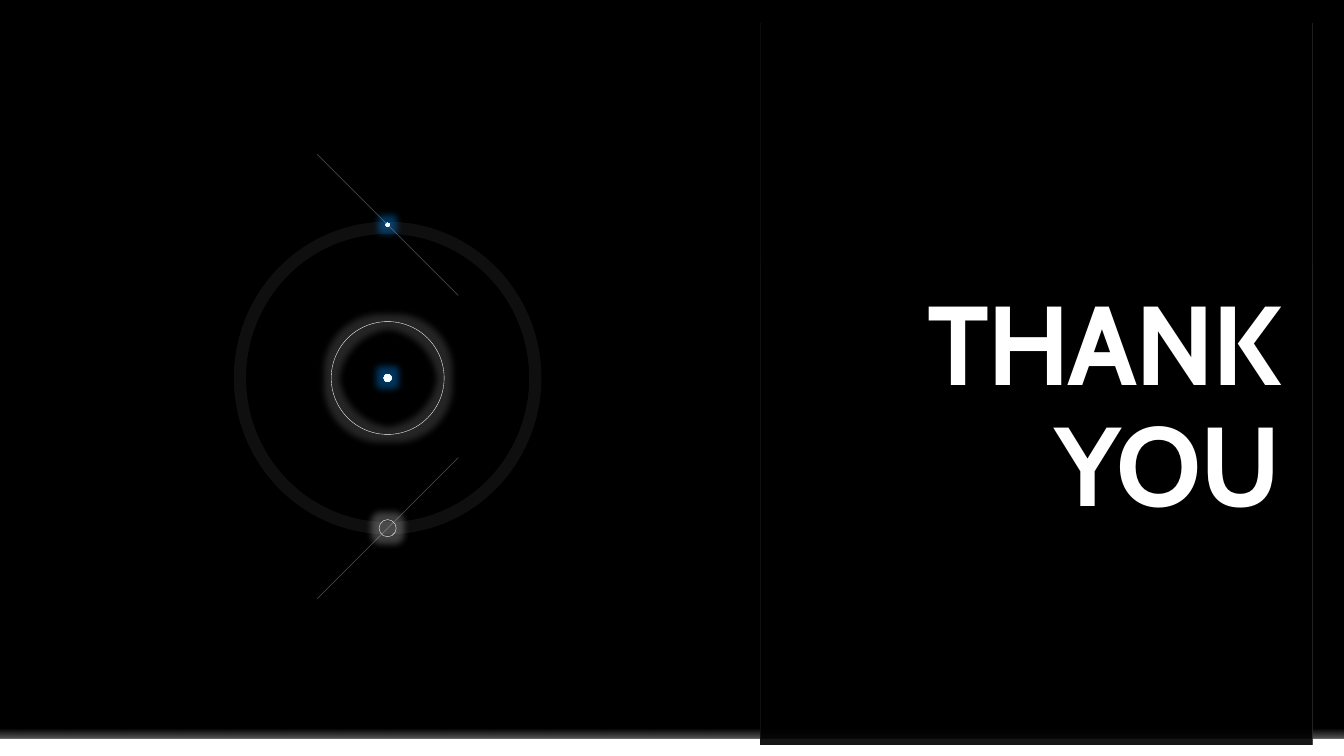
from lxml.etree import SubElement
from pptx import Presentation
from pptx.dml.color import RGBColor
from pptx.enum.shapes import MSO_CONNECTOR, MSO_SHAPE
from pptx.enum.text import MSO_ANCHOR, PP_ALIGN
from pptx.oxml import parse_xml
from pptx.oxml.ns import nsdecls, qn
from pptx.util import Inches, Pt

W, H = 13.33, 7.5
C = {"black": "000000", "white": "FFFFFF", "edge": "F2F2F2", "ray": "E7E6E6",
     "ice": "F7FFFF", "sky": "C1E4FF", "blue": "0088EE"}
CORE = [(0, "white", 100), (65, "ice", 100), (70, "sky", 100)]
CORE_PATH = ('<a:path path="circle"><a:fillToRect l="50000" t="50000" '
             'r="50000" b="50000"/></a:path>')
FADE = [(40, "white", 0), (100, "white", 35)]
FADE_DOWN = '<a:lin ang="5400000" scaled="0"/>'


def set_color(fill, color, alpha):
    """Make a fill solid with the given opacity in percent."""
    fill.solid()
    fill.fore_color.rgb = RGBColor.from_string(C[color])
    if alpha < 100:
        clr = fill._xPr.find(".//" + qn("a:srgbClr"))
        SubElement(clr, qn("a:alpha")).set("val", str(alpha * 1000))


def set_gradient(sp, stops, direction):
    """Fill a shape with a gradient of (position, colour, opacity) stops."""
    sp.fill.gradient()
    old = sp._element.spPr.find(qn("a:gradFill"))
    gs = "".join(f'<a:gs pos="{pos * 1000}"><a:srgbClr val="{C[color]}">'
                 f'<a:alpha val="{alpha * 1000}"/></a:srgbClr></a:gs>'
                 for pos, color, alpha in stops)
    sp._element.spPr.replace(old, parse_xml(
        f'<a:gradFill {nsdecls("a")} rotWithShape="1">'
        f'<a:gsLst>{gs}</a:gsLst>{direction}</a:gradFill>'))


def add_box(s, kind, x, y, w, h, fill=None, alpha=100, line=None, glow=None):
    """Add a preset shape; line is (width, opacity), glow is (colour, opacity)."""
    sp = s.shapes.add_shape(kind, Inches(x), Inches(y), Inches(w), Inches(h))
    sp.shadow.inherit = False
    if fill:
        set_color(sp.fill, fill, alpha)
    else:
        sp.fill.background()
    if line:
        sp.line.width = Pt(line[0])
        set_color(sp.line.fill, "white", line[1])
    else:
        sp.line.fill.background()
    if glow:
        effects = sp._element.spPr.find(qn("a:effectLst"))
        g = SubElement(effects, qn("a:glow"), rad=str(Pt(10)))
        clr = SubElement(g, qn("a:srgbClr"), val=C[glow[0]])
        SubElement(clr, qn("a:alpha"), val=str(glow[1] * 1000))
    return sp


def add_oval(s, cx, cy, w, h, **fmt):
    """Add an ellipse around a centre."""
    return add_box(s, MSO_SHAPE.OVAL, cx - w / 2, cy - h / 2, w, h, **fmt)


def add_line(s, x1, y1, x2, y2, color, width, alpha):
    """Add a thin translucent line."""
    cn = s.shapes.add_connector(MSO_CONNECTOR.STRAIGHT, Inches(x1), Inches(y1),
                                Inches(x2), Inches(y2))
    cn.line.width = Pt(width)
    set_color(cn.line.fill, color, alpha)
    SubElement(cn._element.spPr, qn("a:effectLst"))


def add_text(s, text, x, y, w, h, size, font, color, bold, spacing):
    """Add right-aligned text standing on the bottom of its box."""
    tf = s.shapes.add_textbox(Inches(x), Inches(y), Inches(w), Inches(h)).text_frame
    tf.word_wrap = True
    tf.vertical_anchor = MSO_ANCHOR.BOTTOM
    tf.margin_left = tf.margin_right = tf.margin_top = tf.margin_bottom = 0
    p = tf.paragraphs[0]
    p.alignment = PP_ALIGN.RIGHT
    p.line_spacing = 0.9
    r = p.add_run()
    r.text = text
    r.font.size, r.font.name, r.font.bold = Pt(size), font, bold
    r.font.color.rgb = RGBColor.from_string(C[color])
    r._r.get_or_add_rPr().set("spc", str(round(spacing * 100)))


def floor(s, x, y, w, h):
    """Draw the white strip with a fade of the same height above it."""
    fade = add_box(s, MSO_SHAPE.RECTANGLE, x, y, w, h / 2)
    set_gradient(fade, FADE, FADE_DOWN)
    add_box(s, MSO_SHAPE.RECTANGLE, x, y + h / 2, w, h / 2, fill="white")


def panel(s, x, y, w, h):
    """Draw the dark panel: a denser top third, a lower part and side edges."""
    top = 2.37
    add_box(s, MSO_SHAPE.RECTANGLE, x, y + top, w, h - top, fill="black", alpha=70)
    add_box(s, MSO_SHAPE.RECTANGLE, x, y, w, top, fill="black", alpha=94)
    for edge in (x + w, x + w, x):
        add_line(s, edge, y, edge, y + h - 0.06, "edge", 0.25, 15)


def orbit(s, cx, cy, w, h):
    """Draw the glowing ring, its orbit, both satellites and their rays."""
    add_oval(s, cx, cy, 1.12, 1.12, line=(0.25, 100), glow=("white", 15))
    add_oval(s, cx, cy, w, h, line=(8.75, 6))
    top, bottom = cy - 1.52, cy + h / 2
    for y, size in ((cy, 0.08), (top, 0.04)):
        dot = add_oval(s, cx, y, size, size, glow=("blue", 40))
        set_gradient(dot, CORE, CORE_PATH)
    add_oval(s, cx, bottom, 0.17, 0.17, line=(0.25, 100), glow=("white", 25))
    reach = 0.7
    for y, rise in ((bottom, -reach), (top, reach)):
        add_line(s, cx - reach, y - rise, cx + reach, y + rise, "ray", 0.5, 30)


def closing_slide(prs):
    """Build the closing slide."""
    s = prs.slides.add_slide(prs.slide_layouts[6])
    set_color(s.background.fill, "black", 100)
    floor(s, 0, H - 0.34, W, 0.34)
    orbit(s, 3.845, H / 2, 2.93, 2.98)
    for _ in range(2):
        panel(s, 7.54, 0.23, 5.48, 7.16)
    add_text(s, "THANK YOU", 7.83, 2.89, 4.87, 2.37, size=80, font="Cabin",
             color="white", bold=True, spacing=-1.5)


def main():
    """Create and save the presentation."""
    prs = Presentation()
    prs.slide_width, prs.slide_height = Inches(W), Inches(H)
    closing_slide(prs)
    prs.save("out.pptx")


if __name__ == "__main__":
    main()
